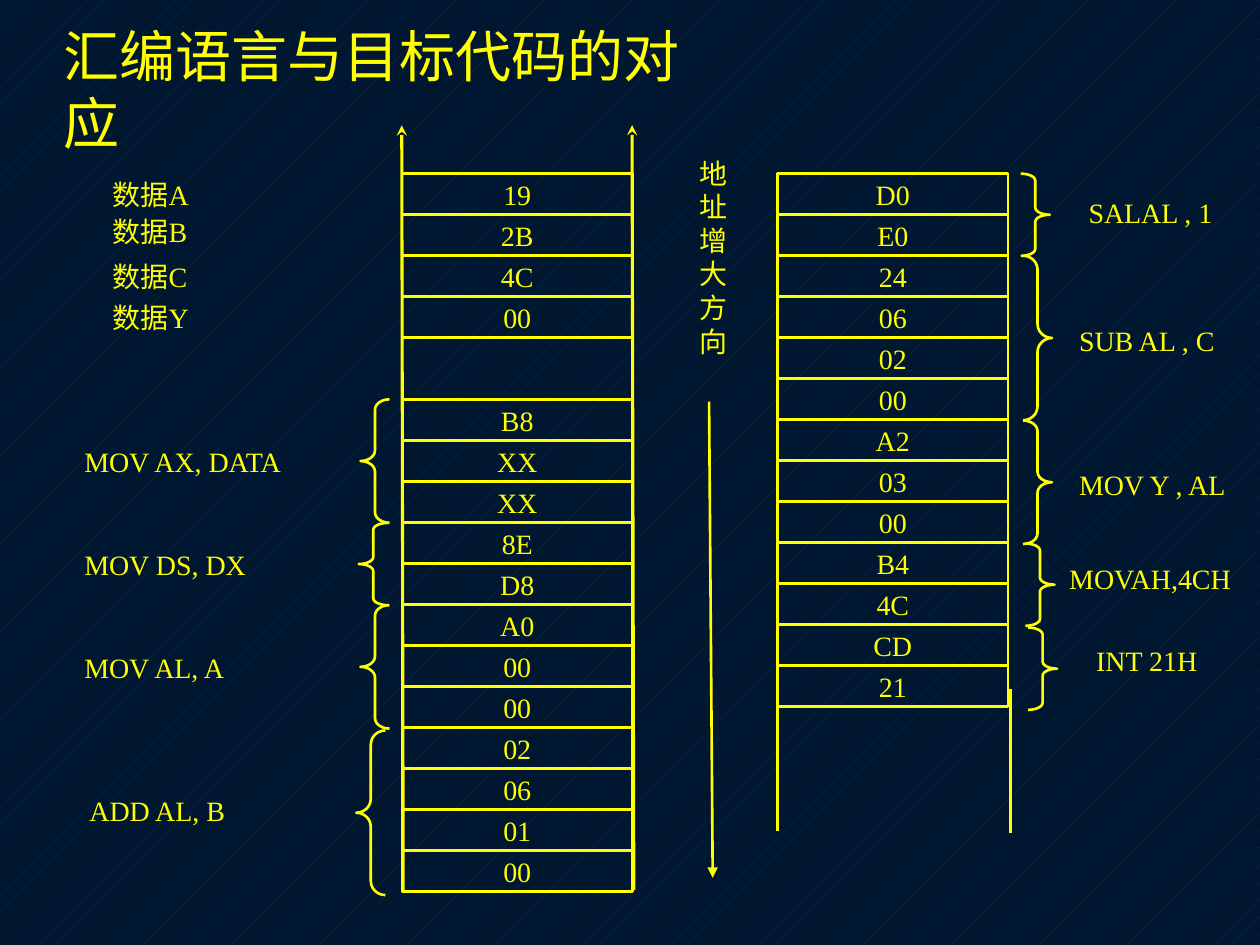
from dataclasses import dataclass

from lxml.etree import SubElement
from pptx import Presentation
from pptx.dml.color import RGBColor
from pptx.enum.dml import MSO_PATTERN
from pptx.enum.shapes import MSO_CONNECTOR, MSO_SHAPE
from pptx.enum.text import MSO_ANCHOR, PP_ALIGN
from pptx.oxml.ns import qn
from pptx.slide import Slide
from pptx.util import Pt


@dataclass(frozen=True)
class Theme:
    ink: RGBColor = RGBColor(0xFF, 0xFF, 0x00)
    pattern: RGBColor = RGBColor(0x00, 0x33, 0x66)
    ground: RGBColor = RGBColor(0x00, 0x17, 0x2F)
    title_font: str = "Noto Sans CJK JP"
    body_font: str = "Times New Roman"
    title_size: float = 32
    body_size: float = 16
    line: float = 1.5
    bold_line: float = 1.75


@dataclass(frozen=True)
class MemoryBlock:
    left: float
    top: float
    values: str


@dataclass(frozen=True)
class Brace:
    left: float
    top: float
    rows: int
    kind: MSO_SHAPE


@dataclass(frozen=True)
class Label:
    text: str
    left: float
    top: float
    width: float = 149
    height: float = 23.4


@dataclass(frozen=True)
class Line:
    start: tuple[float, float]
    end: tuple[float, float]
    width: float
    arrow: str = ""


THEME = Theme()
ROW_HEIGHT = 23.43
CELL_WIDTH = 131.8
BRACE_WIDTH = 16.6
BRACE_ROW = 23.52
CURL_PER_ROW = 0.12

BLOCKS = [
    MemoryBlock(229.7, 99.2, "19 2B 4C 00"),
    MemoryBlock(229.7, 228.4, "B8 XX XX 8E D8 A0 00 00 02 06 01 00"),
    MemoryBlock(444.3, 99.2, "D0 E0 24 06 02 00 A2 03 00 B4 4C CD 21"),
]

BRACES = [
    Brace(206, 228.2, 3, MSO_SHAPE.LEFT_BRACE),
    Brace(205, 298.8, 2, MSO_SHAPE.LEFT_BRACE),
    Brace(206, 345.8, 3, MSO_SHAPE.LEFT_BRACE),
    Brace(203.6, 417.4, 4, MSO_SHAPE.LEFT_BRACE),
    Brace(583.3, 99.2, 2, MSO_SHAPE.RIGHT_BRACE),
    Brace(584.6, 146.1, 4, MSO_SHAPE.RIGHT_BRACE),
    Brace(584.6, 240.3, 3, MSO_SHAPE.RIGHT_BRACE),
    Brace(586, 310.6, 2, MSO_SHAPE.RIGHT_BRACE),
    Brace(587.5, 358.6, 2, MSO_SHAPE.RIGHT_BRACE),
]

LABELS = [
    Label("数据A", 64.5, 99.4),
    Label("数据B", 64.5, 120.6),
    Label("数据C", 64.5, 146.2),
    Label("数据Y", 64.5, 169.6),
    Label("MOV AX, DATA", 48.2, 252),
    Label("MOV DS, DX", 48.2, 310.5),
    Label("MOV AL, A", 48.2, 369.5),
    Label("ADD AL, B", 51.1, 451.5),
    Label("SALAL , 1", 622, 109.8, 90),
    Label("SUB AL , C", 616.6, 183, 90),
    Label("MOV Y , AL", 616.6, 264.8, 95),
    Label("MOVAH,4CH", 611, 319, 105),
    Label("INT 21H", 626.4, 365.5, 85),
]

LINES = [
    Line((230.4, 508.5), (229.6, 71.7), THEME.bold_line, "stealth"),
    Line((362.2, 508.5), (361.2, 71.5), THEME.bold_line, "stealth"),
    Line((405.2, 229.5), (407.3, 501.6), THEME.line, "triangle"),
    Line((444.4, 392.4), (444.4, 475), THEME.line),
    Line((577.6, 393.6), (577.6, 476), THEME.line),
]


def write_text(box, text: str, *, font: str = THEME.body_font, size: float = THEME.body_size,
               align: PP_ALIGN = PP_ALIGN.CENTER, anchor: MSO_ANCHOR = MSO_ANCHOR.MIDDLE,
               inset: tuple[float, float] = (0, 0)) -> None:
    frame = box.text_frame
    frame.word_wrap = True
    frame.vertical_anchor = anchor
    frame.margin_left = frame.margin_right = Pt(inset[0])
    frame.margin_top = frame.margin_bottom = Pt(inset[1])
    para = frame.paragraphs[0]
    para.alignment = align
    span = para.add_run()
    span.text = text
    span.font.name = font
    span.font.size = Pt(size)
    span.font.color.rgb = THEME.ink


def draw_outline(page: Slide, kind: MSO_SHAPE, left: float, top: float,
                 width: float, height: float):
    shape = page.shapes.add_shape(kind, Pt(left), Pt(top), Pt(width), Pt(height))
    shape.shadow.inherit = False
    shape.fill.background()
    shape.line.color.rgb = THEME.ink
    shape.line.width = Pt(THEME.line)
    return shape


def draw_block(page: Slide, block: MemoryBlock) -> None:
    for row, value in enumerate(block.values.split()):
        top = block.top + row * ROW_HEIGHT
        cell = draw_outline(page, MSO_SHAPE.RECTANGLE, block.left, top, CELL_WIDTH, ROW_HEIGHT)
        write_text(cell, value)


def draw_brace(page: Slide, brace: Brace) -> None:
    shape = draw_outline(page, brace.kind, brace.left, brace.top,
                         BRACE_WIDTH, brace.rows * BRACE_ROW)
    shape.adjustments[0] = brace.rows * CURL_PER_ROW
    shape.adjustments[1] = 0.5


def draw_label(page: Slide, label: Label, **text_format) -> None:
    box = page.shapes.add_textbox(Pt(label.left), Pt(label.top), Pt(label.width), Pt(label.height))
    write_text(box, label.text, **text_format)


def draw_line(page: Slide, line: Line) -> None:
    points = [Pt(value) for value in (*line.start, *line.end)]
    connector = page.shapes.add_connector(MSO_CONNECTOR.STRAIGHT, *points)
    connector.line.color.rgb = THEME.ink
    connector.line.width = Pt(line.width)
    if line.arrow:
        SubElement(connector.line._get_or_add_ln(), qn("a:tailEnd"), type=line.arrow)
    SubElement(connector._element.spPr, qn("a:effectLst"))


def paint_background(page: Slide) -> None:
    fill = page.background.fill
    fill.patterned()
    fill.pattern = MSO_PATTERN.PERCENT_5
    fill.fore_color.rgb = THEME.pattern
    fill.back_color.rgb = THEME.ground


def main() -> None:
    deck = Presentation()
    deck.slide_width, deck.slide_height = Pt(720), Pt(540)
    page = deck.slides.add_slide(deck.slide_layouts[6])
    paint_background(page)

    draw_label(page, Label("汇编语言与目标代码的对应", 29, 8.6, 397, 45.4),
               font=THEME.title_font, size=THEME.title_size, align=PP_ALIGN.LEFT,
               anchor=MSO_ANCHOR.TOP, inset=(7.2, 3.6))
    for block in BLOCKS:
        draw_block(page, block)
    for brace in BRACES:
        draw_brace(page, brace)
    for label in LABELS:
        draw_label(page, label, align=PP_ALIGN.JUSTIFY)
    draw_label(page, Label("地址增大方向", 399.6, 76.3, 15.1, 141.1))
    for line in LINES:
        draw_line(page, line)

    deck.save("out.pptx")


if __name__ == "__main__":
    main()
